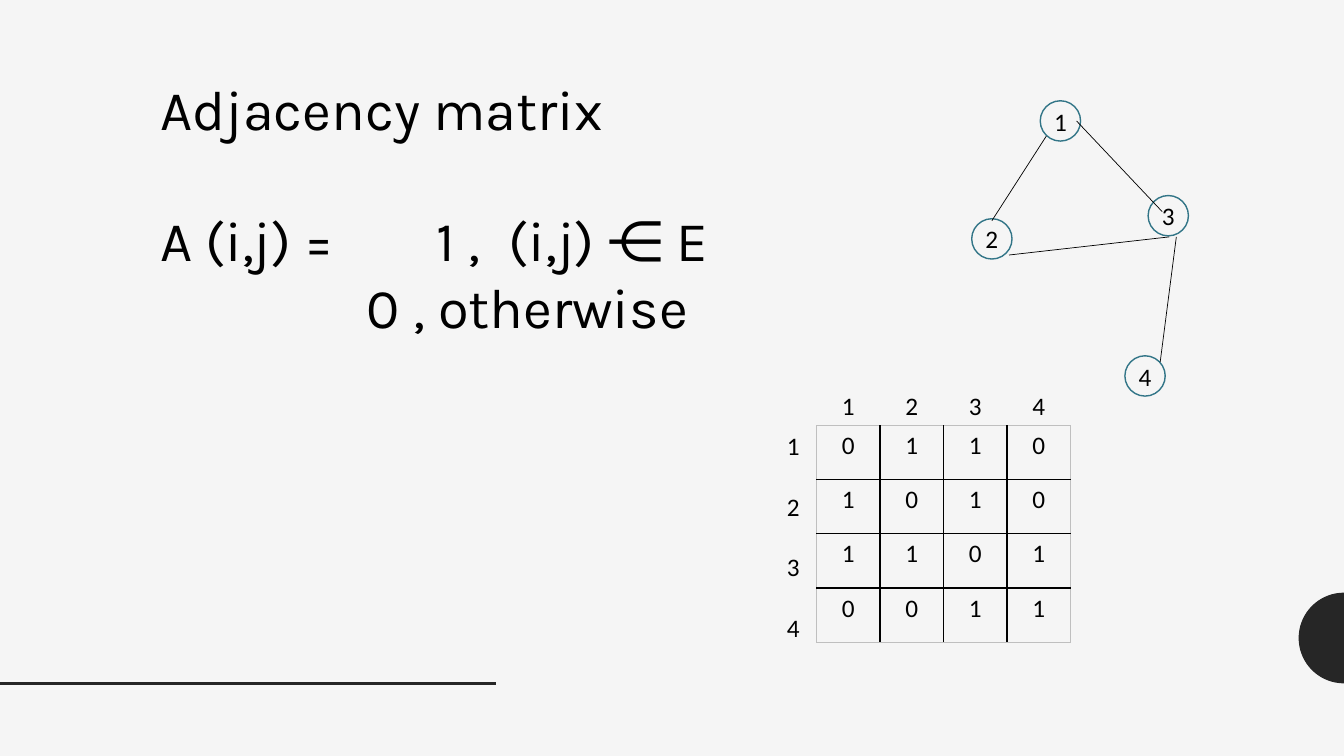
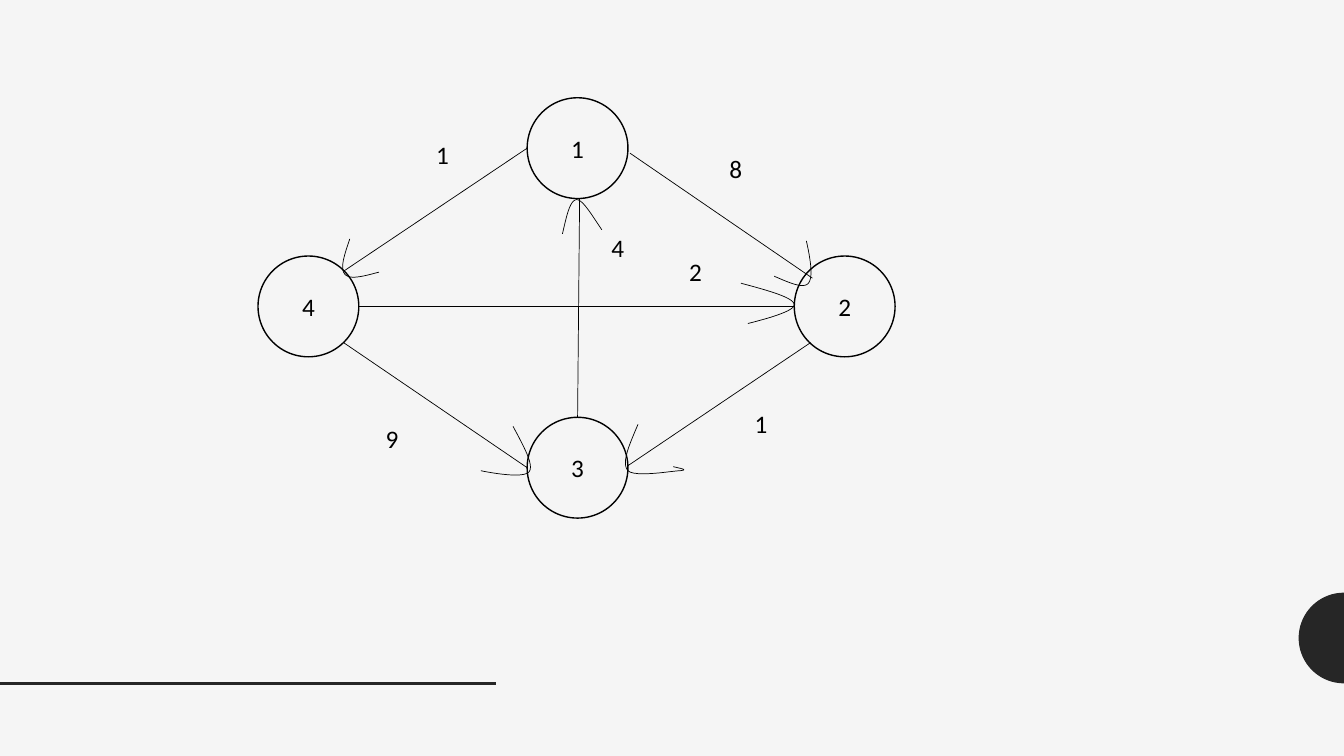
from math import cos, radians, sin
from typing import NamedTuple, Sequence

from lxml.etree import SubElement
from pptx import Presentation
from pptx.dml.color import RGBColor
from pptx.enum.shapes import MSO_CONNECTOR, MSO_SHAPE
from pptx.enum.text import MSO_ANCHOR, MSO_AUTO_SIZE, PP_ALIGN
from pptx.oxml.ns import qn
from pptx.util import Inches, Pt

COLORS = {
    "background": "F5F5F5",
    "band": "262626",
    "ink": "000000",
    "node": "327587",
    "frame": "BFBFBF",
}
TITLE_FONT, TITLE_SIZE = "Karla", 40
BODY_FONT, BODY_SIZE = "Calibri", 18
COLUMNS, ROWS = 133.33, 75  # square grid cells of a tenth of an inch
CURVE_STEPS = 12


class Label(NamedTuple):
    text: str
    x: float
    y: float


class Edge(NamedTuple):
    x1: float
    y1: float
    x2: float
    y2: float


class Formula(NamedTuple):
    text: str
    stops: tuple[float, ...]


Point = tuple[float, float]

SMALL_NODES = [
    Label("1", 105.2, 12), Label("2", 98.4, 23.7),
    Label("3", 115.9, 21.4), Label("4", 113.6, 37.3),
]
SMALL_EDGES = [
    Edge(98.4, 21.9, 103.8, 13.5), Edge(100.1, 25.3, 116, 23.5),
    Edge(115.3, 21, 106.8, 12), Edge(115.1, 35.9, 116.7, 23.5),
]
FORMULA = [
    Formula("A (i,j) =\t1 ,\t(i,j) ⋲ E", (27.4, 34.6)),
    Formula("\t0 , otherwise", (20.5,)),
]
MATRIX = ["0110", "1010", "1101", "0011"]
MATRIX_LEFT, MATRIX_TOP = 81, 42.2
MATRIX_COLUMN, MATRIX_ROW, ROW_LABEL_PITCH = 6.3, 5.38, 6

LARGE_NODES = [
    Label("1", 57.3, 14.7), Label("2", 83.8, 30.4),
    Label("3", 57.3, 46.4), Label("4", 30.6, 30.4),
]
LARGE_EDGES = [
    Edge(34.1, 26.9, 52.3, 14.7), Edge(35.6, 30.4, 78.8, 30.4),
    Edge(62.3, 46.2, 80.4, 34), Edge(34.1, 34, 52.3, 46.4),
    Edge(62.5, 15.2, 80.6, 27.6), Edge(57.5, 19.7, 57.3, 41.4),
]
WEIGHTS = [
    Label("1", 43.9, 15.3), Label("4", 61.3, 24.6), Label("2", 69, 26.9),
    Label("1", 75.5, 42), Label("8", 73, 16.7), Label("9", 38.9, 43.5),
]
# Each arrowhead is a start point followed by three points per Bezier curve.
ARROWHEADS: list[list[Point]] = [
    [(34.7, 23.7), (34.2, 25.2), (33.7, 26.6), (34.2, 27.2),
     (34.7, 27.8), (36.1, 27.4), (37.6, 27)],
    [(55.8, 23.2), (56.2, 21.5), (56.5, 19.9), (57.2, 19.8),
     (57.8, 19.8), (58.7, 21.3), (59.7, 22.8)],
    [(80, 23.9), (80.4, 25.7), (80.7, 27.5), (80.2, 28.1),
     (79.7, 28.7), (78.2, 28), (76.8, 27.4)],
    [(63.3, 42.1), (62.5, 44), (61.6, 45.9), (62.3, 46.7),
     (63, 47.4), (66.8, 46.7), (67.5, 46.7),
     (68.3, 46.6), (67.6, 46.5), (66.8, 46.3)],
    [(50.9, 42.3), (51.9, 44.2), (53, 46.1), (52.5, 46.8),
     (51.9, 47.6), (47.7, 46.7), (47.7, 46.7)],
    [(73.5, 28.1), (76.1, 28.8), (78.7, 29.5), (78.8, 30.2),
     (78.9, 30.8), (76.6, 31.5), (74.2, 32.1)],
]


def grid(cells: float) -> int:
    return Inches(cells / 10)


def color(name: str) -> RGBColor:
    return RGBColor.from_string(COLORS[name])


def set_line(shape, name: str, width: float) -> None:
    shape.line.color.rgb = color(name)
    shape.line.width = Pt(width)


def write(para, text: str, font: str = BODY_FONT, size: float = BODY_SIZE) -> None:
    span = para.add_run()
    span.text = text
    span.font.name, span.font.size = font, Pt(size)
    span.font.color.rgb = color("ink")


def write_centered(shape, text: str) -> None:
    frame = shape.text_frame
    frame.word_wrap = False
    frame.vertical_anchor = MSO_ANCHOR.MIDDLE
    frame.margin_left = frame.margin_right = 0
    frame.margin_top = frame.margin_bottom = 0
    para = frame.paragraphs[0]
    para.alignment = PP_ALIGN.CENTER
    write(para, text)


def add_label(page, label: Label) -> None:
    box = page.shapes.add_textbox(
        grid(label.x - 1.65), grid(label.y - 2), grid(3.3), grid(4))
    write_centered(box, label.text)


def add_node(page, node: Label, diameter: float, outline: str) -> None:
    radius = diameter / 2
    circle = page.shapes.add_shape(
        MSO_SHAPE.OVAL, grid(node.x - radius), grid(node.y - radius),
        grid(diameter), grid(diameter))
    circle.shadow.inherit = False
    circle.fill.background()
    set_line(circle, outline, 1)
    write_centered(circle, node.text)


def add_edge(page, edge: Edge, name: str = "ink", width: float = 0.5) -> None:
    line = page.shapes.add_connector(
        MSO_CONNECTOR.STRAIGHT, *(grid(value) for value in edge))
    set_line(line, name, width)
    SubElement(line.element.spPr, qn("a:effectLst"))


def add_outline(page, points: Sequence[Point], close: bool):
    corners = [(grid(x), grid(y)) for x, y in points]
    builder = page.shapes.build_freeform(*corners[0])
    builder.add_line_segments(corners[1:], close=close)
    shape = builder.convert_to_shape()
    shape.shadow.inherit = False
    return shape


def trace_curves(points: Sequence[Point]) -> list[Point]:
    """Sample a chain of cubic Bezier curves."""
    trace = [points[0]]
    for first in range(0, len(points) - 1, 3):
        controls = points[first:first + 4]
        for step in range(1, CURVE_STEPS + 1):
            t = step / CURVE_STEPS
            shares = ((1 - t) ** 3, 3 * t * (1 - t) ** 2, 3 * t * t * (1 - t), t ** 3)
            trace.append((sum(s * p[0] for s, p in zip(shares, controls)),
                          sum(s * p[1] for s, p in zip(shares, controls))))
    return trace


def add_arrowhead(page, points: Sequence[Point]) -> None:
    head = add_outline(page, trace_curves(points), close=False)
    head.fill.background()
    set_line(head, "ink", 0.5)


def add_page(deck, layout: int):
    """Add a slide with the half disc and the rule that all slides share."""
    page = deck.slides.add_slide(deck.slide_layouts[layout])
    arc = [(COLUMNS + 4.5 * cos(radians(angle)), 63.3 + 4.5 * sin(radians(angle)))
           for angle in range(90, 271, 5)]
    disc = add_outline(page, arc, close=True)
    disc.fill.solid()
    disc.fill.fore_color.rgb = color("band")
    disc.line.fill.background()
    add_edge(page, Edge(0, 67.8, 49.2, 67.8), "band", 2)
    return page


def add_title(page, text: str) -> None:
    title = page.shapes.title
    title.left, title.top = grid(14.9), grid(6.9)
    title.width, title.height = grid(63), grid(7.5)
    frame = title.text_frame
    frame.auto_size = MSO_AUTO_SIZE.NONE
    frame.vertical_anchor = MSO_ANCHOR.TOP
    para = frame.paragraphs[0]
    para.alignment = PP_ALIGN.LEFT
    write(para, text, TITLE_FONT, TITLE_SIZE)


def add_formula(page, lines: Sequence[Formula]) -> None:
    box = page.shapes.add_textbox(grid(14.9), grid(19.9), grid(63), grid(14.9))
    frame = box.text_frame
    frame.word_wrap = False
    for index, line in enumerate(lines):
        para = frame.add_paragraph() if index else frame.paragraphs[0]
        para.alignment = PP_ALIGN.LEFT
        tabs = SubElement(para._p.get_or_add_pPr(), qn("a:tabLst"))
        for stop in line.stops:
            SubElement(tabs, qn("a:tab"), pos=str(grid(stop)), algn="l")
        write(para, line.text, TITLE_FONT, TITLE_SIZE)


def set_border(cell, side: str, name: str, width: float) -> None:
    line = SubElement(cell._tc.get_or_add_tcPr(), qn(f"a:ln{side}"), w=str(Pt(width)))
    fill = SubElement(line, qn("a:solidFill"))
    SubElement(fill, qn("a:srgbClr"), val=COLORS[name])


def add_matrix(page, rows: Sequence[str]) -> None:
    size = len(rows)
    table = page.shapes.add_table(
        size, size, grid(MATRIX_LEFT), grid(MATRIX_TOP),
        grid(size * MATRIX_COLUMN), grid(size * MATRIX_ROW)).table
    table.first_row = table.horz_banding = False
    for i, row in enumerate(rows):
        for j, value in enumerate(row):
            cell = table.cell(i, j)
            para = cell.text_frame.paragraphs[0]
            para.alignment = PP_ALIGN.CENTER
            write(para, value)
            outer = {"L": j == 0, "R": j == size - 1, "T": i == 0, "B": i == size - 1}
            for side, at_frame in outer.items():
                set_border(cell, side, *(("frame", 0.5) if at_frame else ("ink", 1)))
            cell.fill.background()
    for index in range(size):
        text = str(index + 1)
        add_label(page, Label(text, MATRIX_LEFT + (index + 0.5) * MATRIX_COLUMN, 40.2))
        add_label(page, Label(text, 78.7, 44.2 + index * ROW_LABEL_PITCH))


def add_graph(page, nodes: Sequence[Label], edges: Sequence[Edge],
              diameter: float, outline: str) -> None:
    for node in nodes:
        add_node(page, node, diameter, outline)
    for edge in edges:
        add_edge(page, edge)


def build_matrix_page(deck) -> None:
    page = add_page(deck, 5)
    add_title(page, "Adjacency matrix")
    add_formula(page, FORMULA)
    add_matrix(page, MATRIX)
    add_graph(page, SMALL_NODES, SMALL_EDGES, 4, "node")


def build_weighted_page(deck) -> None:
    page = add_page(deck, 6)
    add_graph(page, LARGE_NODES, LARGE_EDGES, 10, "ink")
    for weight in WEIGHTS:
        add_label(page, weight)
    for points in ARROWHEADS:
        add_arrowhead(page, points)


def main() -> None:
    deck = Presentation()
    deck.slide_width, deck.slide_height = grid(COLUMNS), grid(ROWS)
    backdrop = deck.slide_master.background.fill
    backdrop.solid()
    backdrop.fore_color.rgb = color("background")
    build_matrix_page(deck)
    build_weighted_page(deck)
    deck.save("out.pptx")


if __name__ == "__main__":
    main()
